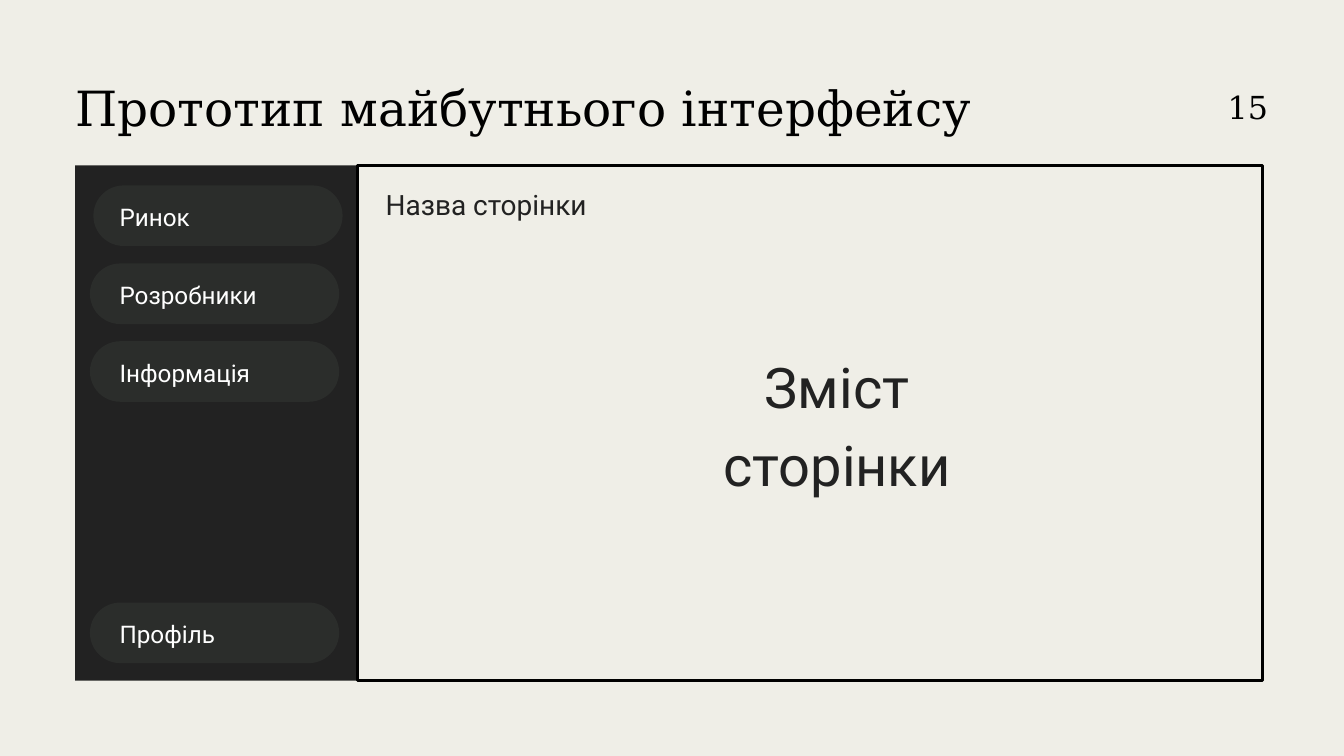
"""Builds the slide with the prototype of the future interface."""
from pptx import Presentation
from pptx import util as u
from pptx.dml.color import RGBColor
from pptx.enum import shapes, text

COLORS = {"paper": "EFEEE7", "sidebar": "222222", "button": "2B2D2B",
          "ink": "000000", "white": "FFFFFF"}


def write(holder, words, size, leading, font="Roboto", color="sidebar", align="LEFT"):
    frame = holder.text_frame
    frame.word_wrap = True
    frame.auto_size = text.MSO_AUTO_SIZE.NONE
    frame.vertical_anchor = text.MSO_ANCHOR.TOP
    frame.margin_left = frame.margin_right = frame.margin_top = frame.margin_bottom = 0
    line = frame.paragraphs[0]
    line.alignment = text.PP_ALIGN[align]
    line.line_spacing = u.Pt(leading)
    run = line.add_run()
    run.text = words
    run.font.name = font
    run.font.size = u.Pt(size)
    run.font.color.rgb = RGBColor.from_string(COLORS[color])


def add_panel(kind, left, top, width, height, color):
    panel = slide.shapes.add_shape(kind, u.Cm(left), u.Cm(top), u.Cm(width), u.Cm(height))
    panel.shadow.inherit = False
    panel.fill.solid()
    panel.fill.fore_color.rgb = RGBColor.from_string(COLORS[color])
    panel.line.fill.background()
    return panel


prs = Presentation()
prs.slide_width, prs.slide_height = u.Cm(50.8), u.Cm(28.58)
slide = prs.slides.add_slide(prs.slide_layouts[5])
slide.background.fill.solid()
slide.background.fill.fore_color.rgb = RGBColor.from_string(COLORS["paper"])

add_panel(shapes.MSO_SHAPE.RECTANGLE, 2.84, 6.25, 44.88, 19.48, "sidebar")
page = add_panel(shapes.MSO_SHAPE.RECTANGLE, 13.51, 6.25, 34.22, 19.48, "paper")
page.line.color.rgb = RGBColor.from_string(COLORS["ink"])
page.line.width = u.Pt(3)

heading = slide.shapes.title
heading.left, heading.top = u.Cm(2.84), u.Cm(2.57)
heading.width, heading.height = u.Cm(42.01), u.Cm(2.51)
write(heading, "Прототип майбутнього інтерфейсу", 52, 72.8, font="DejaVu Serif", color="ink")

slide_number = slide.shapes.add_textbox(u.Cm(44.58), u.Cm(3.07), u.Cm(3.35), u.Cm(1.6))
write(slide_number, "15", 34, 47.6, font="DejaVu Serif", color="ink", align="RIGHT")

menu = [("Ринок", 3.53, 7.01), ("Розробники", 3.4, 9.96),
        ("Інформація", 3.4, 12.9), ("Профіль", 3.4, 22.78)]
for name, left, top in menu:
    button = add_panel(shapes.MSO_SHAPE.ROUNDED_RECTANGLE, left, top, 9.42, 2.29, "button")
    button.adjustments[0] = 0.5
    label = slide.shapes.add_textbox(u.Cm(4.52), u.Cm(top + 0.45), u.Cm(7.21), u.Cm(1.24))
    write(label, name, 26, 36.4, color="white")

page_name = slide.shapes.add_textbox(u.Cm(14.58), u.Cm(6.86), u.Cm(13.34), u.Cm(1.42))
write(page_name, "Назва сторінки", 30, 42)

page_content = slide.shapes.add_textbox(u.Cm(24.97), u.Cm(12.9), u.Cm(13.34), u.Cm(5.82))
write(page_content, "Зміст сторінки", 60, 84, align="CENTER")

prs.save("out.pptx")
